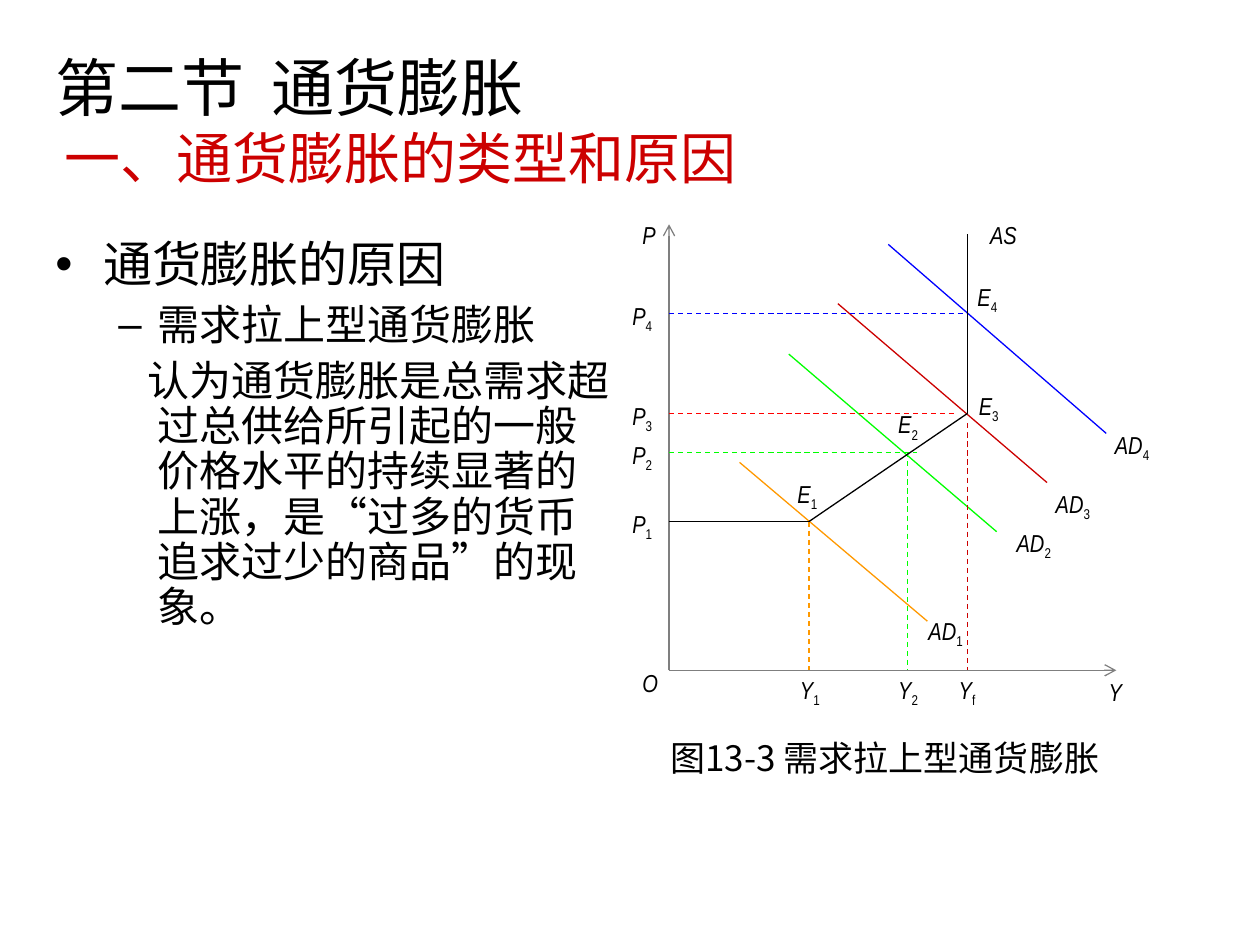
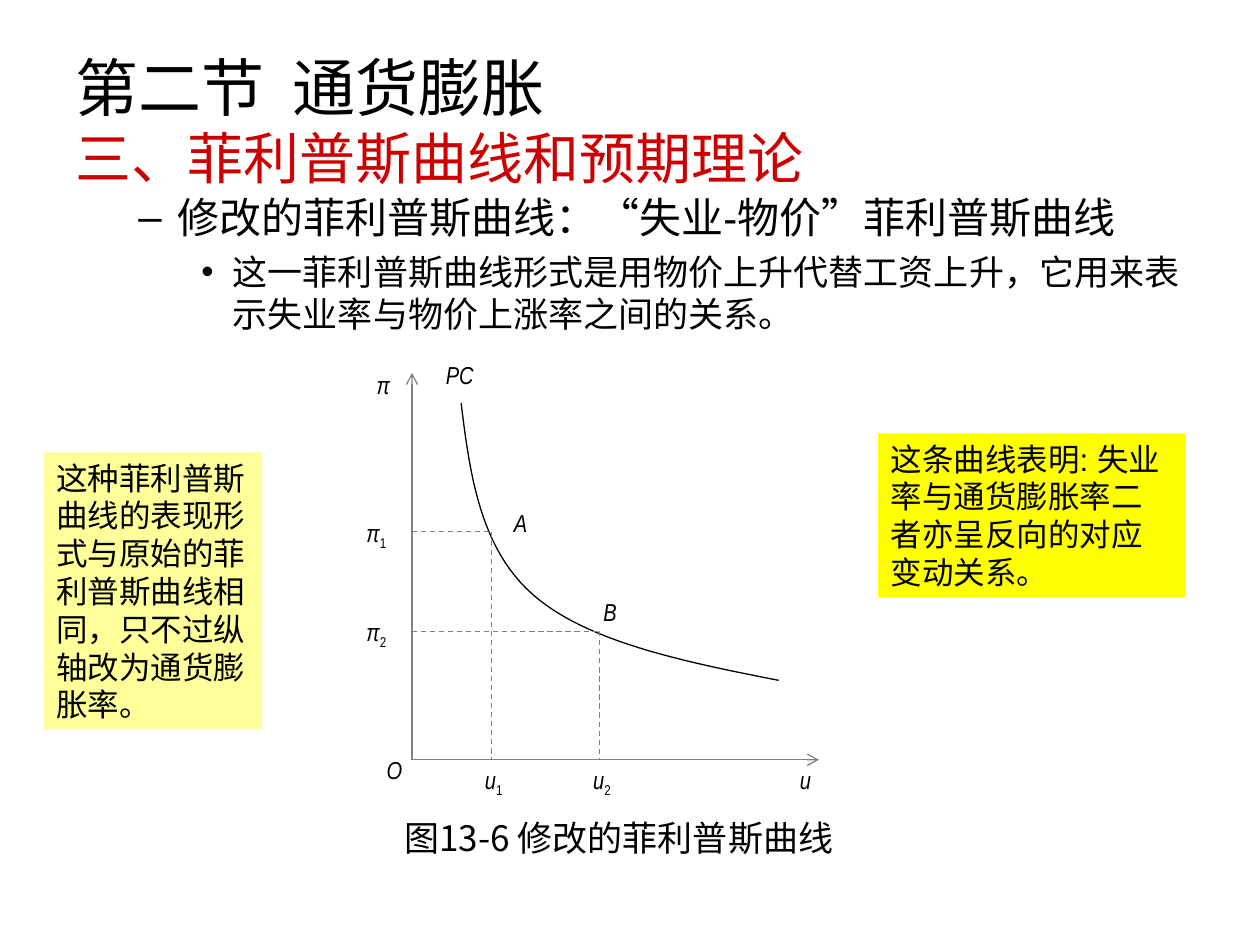
from dataclasses import dataclass
from typing import Any

from lxml.etree import SubElement
from pptx import Presentation
from pptx.dml.color import RGBColor
from pptx.enum.dml import MSO_LINE_DASH_STYLE as Dash
from pptx.enum.shapes import MSO_CONNECTOR as Connector, MSO_SHAPE as Shape
from pptx.enum.text import MSO_ANCHOR as Anchor, PP_ALIGN as Align
from pptx.oxml.ns import qn
from pptx.util import Inches, Pt

COLORS = {
    "ink": "000000", "heading": "CC0000", "axis": "7F7F7F",
    "orange": "FF9900", "green": "00FF00", "crimson": "CC0000",
    "red": "FF0000", "blue": "0000FF", "yellow": "FFFF00", "cream": "FFFF99",
}
CJK = "Noto Sans CJK SC"
SECTION = {"name": CJK, "size": Pt(36)}
TOPIC = {"name": CJK, "size": Pt(32)}
CAPTION = {"name": CJK, "size": Pt(20)}
LABEL = {"name": "Arial Narrow", "size": Pt(14), "italic": True}
SUBSCRIPT = {**LABEL, "italic": False}
NOTE = {"name": "Arial", "size": Pt(18)}


def rgb(color):
    """Turn a colour name into an RGB value."""
    return RGBColor.from_string(COLORS[color])


def add_run(paragraph, text, style, color="ink"):
    """Append a formatted run and return its font."""
    run = paragraph.add_run()
    run.text = text
    for key, value in style.items():
        setattr(run.font, key, value)
    run.font.color.rgb = rgb(color)
    return run.font


def add_box(slide, left, top, width, height, wrap=True):
    """Add an empty text box and return its frame."""
    frame = slide.shapes.add_textbox(
        Inches(left), Inches(top), Inches(width), Inches(height)).text_frame
    frame.word_wrap = wrap
    return frame


def indent(paragraph, margin, first=0.0, bullet=None):
    """Set the left margin, first-line indent and bullet of a paragraph."""
    props = paragraph._p.get_or_add_pPr()
    props.set("marL", str(Inches(margin)))
    props.set("indent", str(Inches(first)))
    if bullet:
        SubElement(props, qn("a:buFont"), typeface="Arial")
        SubElement(props, qn("a:buChar"), char=bullet)


def add_title(slide, left, topic, topic_indent=0.0):
    """Add the section name with its red topic line."""
    frame = add_box(slide, left, 0.48, 9, 0.94)
    frame.vertical_anchor = Anchor.MIDDLE
    section = frame.paragraphs[0]
    tabs = SubElement(section._p.get_or_add_pPr(), qn("a:tabLst"))
    SubElement(tabs, qn("a:tab"), pos=str(Inches(1.72)), algn="l")
    add_run(section, "第二节\t通货膨胀", SECTION)
    line = frame.add_paragraph()
    indent(line, topic_indent)
    add_run(line, topic, TOPIC, "heading")


def add_outline(slide, box, items, line_spacing):
    """Fill a body box with (text, size, margin, first, bullet, before) items."""
    frame = add_box(slide, *box)
    for index, (text, size, margin, first, bullet, before) in enumerate(items):
        paragraph = frame.add_paragraph() if index else frame.paragraphs[0]
        indent(paragraph, margin, first, bullet)
        paragraph.line_spacing = line_spacing
        paragraph.space_before = Pt(before)
        add_run(paragraph, text, {"name": "Arial", "size": Pt(size)})


def add_caption(slide, left, top, width, text):
    """Add the caption of a figure."""
    add_run(add_box(slide, left, top, width, 0.44).paragraphs[0], text, CAPTION)


def add_note(slide, box, text, color):
    """Add a coloured remark."""
    note = slide.shapes.add_shape(Shape.RECTANGLE, *map(Inches, box))
    note.shadow.inherit = False
    note.fill.solid()
    note.fill.fore_color.rgb = rgb(color)
    note.line.fill.background()
    note.text_frame.word_wrap = True
    note.text_frame.vertical_anchor = Anchor.TOP
    paragraph = note.text_frame.paragraphs[0]
    paragraph.alignment = Align.LEFT
    add_run(paragraph, text, NOTE)


@dataclass
class Plane:
    """A diagram measured rightwards and upwards from its origin."""

    slide: Any
    left: float
    base: float

    def at(self, x, y):
        """Return the slide position of a point."""
        return Inches(self.left + x), Inches(self.base - y)

    def line(self, start, end, color="ink", dashed=False, arrow=False):
        """Draw a straight line."""
        connector = self.slide.shapes.add_connector(
            Connector.STRAIGHT, *self.at(*start), *self.at(*end))
        connector.line.color.rgb = rgb(color)
        connector.line.width = Pt(0.75)
        if dashed:
            connector.line.dash_style = Dash.DASH
        if arrow:
            SubElement(connector.line._get_or_add_ln(), qn("a:tailEnd"), type="arrow")
        SubElement(connector._element.spPr, qn("a:effectLst"))

    def axes(self, width, height):
        """Draw both axes."""
        for end in ((width, 0), (0, height)):
            self.line((0, 0), end, "axis", arrow=True)

    def label(self, text, x, y):
        """Write a label; what follows an underscore is a subscript."""
        base, _, sub = text.partition("_")
        frame = add_box(self.slide, self.left + x, self.base - y, 0.7, 0.35, False)
        add_run(frame.paragraphs[0], base, LABEL)
        if sub:
            font = add_run(frame.paragraphs[0], sub, SUBSCRIPT)
            font._element.set("baseline", "-25000")

    def labels(self, places):
        """Write several labels."""
        for text, (x, y) in places.items():
            self.label(text, x, y)

    def curve(self, start, *segments, steps=24):
        """Draw a smooth curve through cubic segments."""
        points, current = [], start
        for segment in segments:
            corners = (current, *segment)
            for step in range(1, steps + 1):
                t = step / steps
                weights = ((1 - t) ** 3, 3 * t * (1 - t) ** 2, 3 * t * t * (1 - t), t ** 3)
                points.append(self.at(*(
                    sum(w * c[axis] for w, c in zip(weights, corners)) for axis in (0, 1))))
            current = segment[-1]
        builder = self.slide.shapes.build_freeform(*self.at(*start))
        builder.add_line_segments(points, close=False)
        outline = builder.convert_to_shape()
        outline.shadow.inherit = False
        outline.fill.background()
        outline.line.color.rgb = rgb("ink")
        outline.line.width = Pt(0.75)


def draw_demand_pull(slide, left, base):
    """Draw aggregate supply against four demand lines."""
    plane = Plane(slide, left, base)
    outputs = {"Y_1": 1.11, "Y_2": 1.89, "Y_f": 2.37}
    prices = {"P_1": 1.18, "P_2": 1.73, "P_3": 2.04, "P_4": 2.83}
    y1, y2, yf = outputs.values()
    p1, p2, p3, p4 = prices.values()
    plane.axes(3.55, 3.54)
    for start, end, color in (
        ((0.56, 1.65), (2.05, 0.39), "orange"),
        ((0.95, 2.51), (2.6, 1.1), "green"),
        ((1.34, 2.91), (3, 1.49), "crimson"),
        ((1.74, 3.38), (3.47, 1.88), "blue"),
    ):
        plane.line(start, end, color)
    for x, top, color in ((y1, p1, "orange"), (y2, p2, "green"), (yf, 1.96, "crimson")):
        plane.line((x, top), (x, 0), color, dashed=True)
    for y, right, color in ((p2, 1.97, "green"), (p3, 2.29, "red"), (p4, yf, "blue")):
        plane.line((0, y), (right, y), color, dashed=True)
    supply = ((0, p1), (y1, p1), (yf, p3), (yf, 3.46))
    for start, end in zip(supply, supply[1:]):
        plane.line(start, end)
    for name, x in outputs.items():
        plane.label(name, x - 0.17, 0.01)
    for name, y in prices.items():
        plane.label(name, -0.39, y + 0.15)
    plane.labels({
        "O": (-0.31, 0.07), "Y": (3.39, 0), "P": (-0.31, 3.62), "AS": (2.45, 3.62),
        "E_1": (0.92, 1.57), "E_2": (1.72, 2.12), "E_3": (2.36, 2.27), "E_4": (2.35, 3.13),
        "AD_1": (1.96, 0.48), "AD_2": (2.66, 1.18), "AD_3": (2.97, 1.49), "AD_4": (3.44, 1.96),
    })


def draw_phillips(slide, left, base):
    """Draw the price form of the Phillips curve."""
    plane = Plane(slide, left, base)
    plane.axes(3.23, 3.07)
    plane.curve(
        (0.39, 2.83),
        ((0.46, 2.26), (0.54, 1.68), (0.96, 1.31)),
        ((1.38, 0.94), (2.14, 0.78), (2.91, 0.63)))
    for index, (rate, inflation) in enumerate(((0.63, 1.81), (1.49, 1.02)), 1):
        plane.line((0, inflation), (rate, inflation), "axis", dashed=True)
        plane.line((rate, inflation), (rate, 0), "axis", dashed=True)
        plane.label(f"π_{index}", -0.46, inflation + 0.16)
        plane.label(f"u_{index}", rate - 0.15, 0.01)
    plane.labels({
        "O": (-0.3, 0.09), "u": (2.98, 0.01), "π": (-0.38, 3.14),
        "PC": (0.17, 3.22), "A": (0.71, 2.05), "B": (1.42, 1.34),
    })


def build_causes(slide):
    """Build the slide on the causes of inflation."""
    add_outline(slide, (0.34, 1.86, 4.61, 4.49), (
        ("通货膨胀的原因", 28, 0.38, -0.38, "•", 0),
        ("需求拉上型通货膨胀", 24, 0.81, -0.31, "–", 6),
        ("认为通货膨胀是总需求超过总供给所引起的一般价格水平的持续显著的上涨，"
         "是“过多的货币追求过少的商品”的现象。", 24, 0.81, -0.08, None, 6),
    ), 0.9)
    add_caption(slide, 5.22, 5.8, 3.92, "图13-3 需求拉上型通货膨胀")
    draw_demand_pull(slide, 5.31, 5.32)
    add_title(slide, 0.34, "一、通货膨胀的类型和原因", 0.07)


def build_phillips(slide):
    """Build the slide on the modified Phillips curve."""
    add_outline(slide, (0.5, 1.47, 9, 1.4), (
        ("修改的菲利普斯曲线：“失业-物价”菲利普斯曲线", 24, 0.81, -0.31, "–", 0),
        ("这一菲利普斯曲线形式是用物价上升代替工资上升，"
         "它用来表示失业率与物价上涨率之间的关系。", 20, 1.25, -0.25, "•", 5),
    ), 1.0)
    add_caption(slide, 3.11, 6.43, 4.08, "图13-6 修改的菲利普斯曲线")
    draw_phillips(slide, 3.27, 6.03)
    add_note(slide, (6.97, 3.44, 2.44, 1.3),
             "这条曲线表明: 失业率与通货膨胀率二者亦呈反向的对应变动关系。", "yellow")
    add_note(slide, (0.35, 3.59, 1.73, 2.2),
             "这种菲利普斯曲线的表现形式与原始的菲利普斯曲线相同，"
             "只不过纵轴改为通货膨胀率。", "cream")
    add_title(slide, 0.5, "三、菲利普斯曲线和预期理论")


def main():
    """Build and save the slides."""
    deck = Presentation()
    deck.slide_width, deck.slide_height = Inches(10), Inches(7.5)
    for build in (build_causes, build_phillips):
        build(deck.slides.add_slide(deck.slide_layouts[6]))
    deck.save("out.pptx")


if __name__ == "__main__":
    main()
